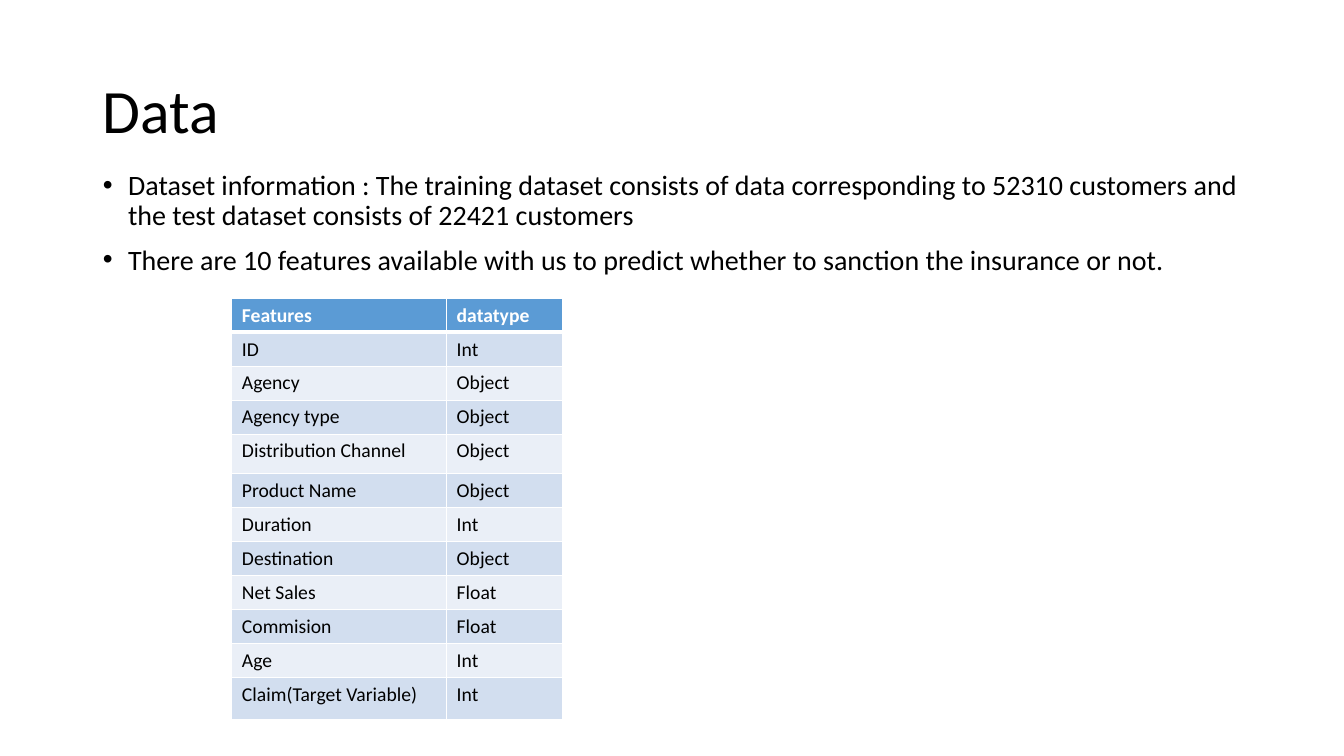
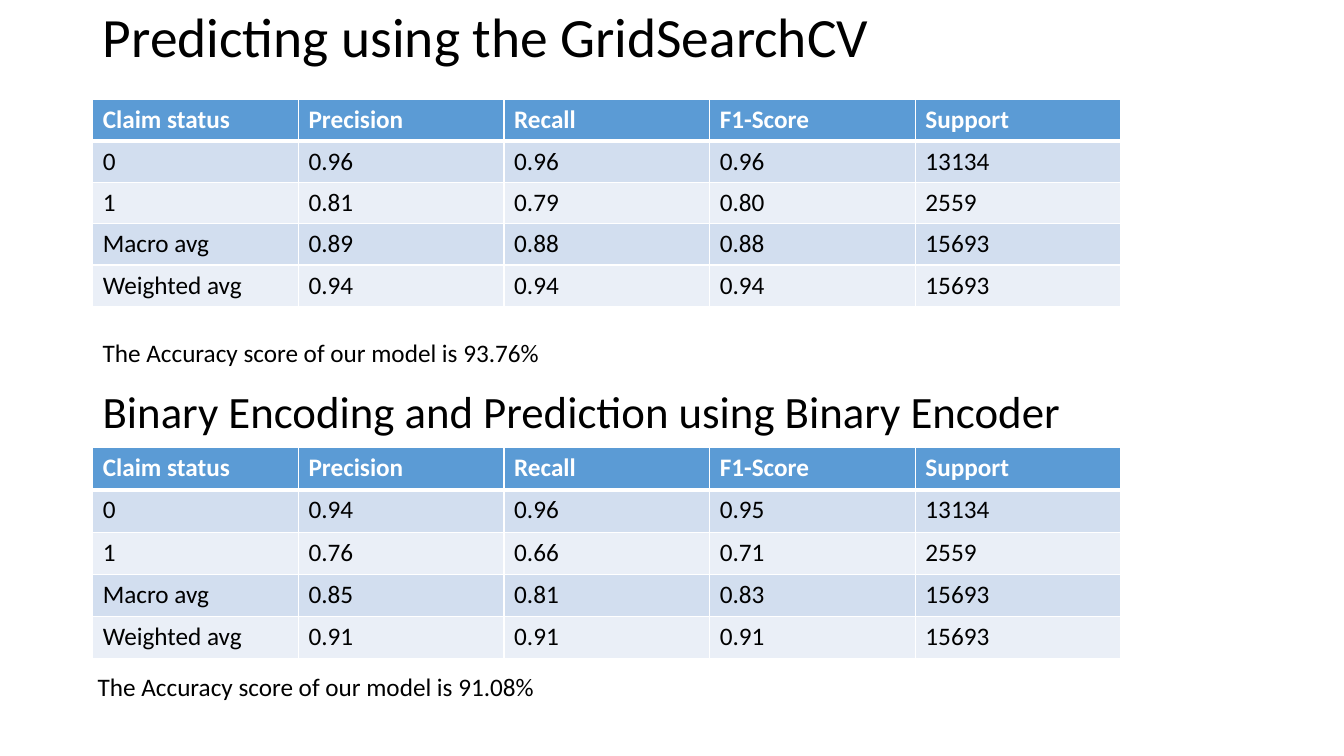
from dataclasses import dataclass

from lxml.etree import SubElement
from pptx import Presentation
from pptx.dml.color import RGBColor
from pptx.enum.text import MSO_ANCHOR, MSO_AUTO_SIZE, PP_ALIGN
from pptx.oxml.ns import qn
from pptx.util import Inches, Pt


@dataclass(frozen=True)
class Theme:
    font: str = "Calibri"
    text: RGBColor = RGBColor.from_string("000000")
    white: RGBColor = RGBColor.from_string("FFFFFF")
    header: RGBColor = RGBColor.from_string("5B9BD5")
    bands: tuple = (RGBColor.from_string("D2DEEF"), RGBColor.from_string("EAEFF7"))
    title_size: float = 44
    small_title_size: float = 39.6
    subtitle_size: float = 32
    list_size: float = 20
    table_size: float = 18
    small_table_size: float = 14
    border: float = 1
    header_border: float = 3


THEME = Theme()
LEFT = 0.92
CONTENT_WIDTH = 11.5


def style_text(text_frame, size, color=THEME.text, bold=False):
    for paragraph in text_frame.paragraphs:
        paragraph.alignment = PP_ALIGN.LEFT
        for run in paragraph.runs:
            run.font.name = THEME.font
            run.font.size = Pt(size)
            run.font.color.rgb = color
            run.font.bold = bold


def add_banded_table(slide, left, top, widths, heights, rows, size):
    """Add a table with a solid header, alternating row fills and white borders."""
    table = slide.shapes.add_table(
        len(rows), len(widths), Inches(left), Inches(top),
        Inches(sum(widths)), Inches(sum(heights))).table
    for column, width in zip(table.columns, widths):
        column.width = Inches(width)
    for row_index, (row, height, values) in enumerate(zip(table.rows, heights, rows)):
        row.height = Inches(height)
        is_header = row_index == 0
        edges = {
            "a:lnL": THEME.border,
            "a:lnR": THEME.border,
            "a:lnT": THEME.header_border if row_index == 1 else THEME.border,
            "a:lnB": THEME.header_border if is_header else THEME.border,
        }
        for cell, value in zip(row.cells, values):
            cell.text_frame.text = value
            style_text(cell.text_frame, size,
                       THEME.white if is_header else THEME.text, is_header)
            properties = cell._tc.get_or_add_tcPr()
            for tag, width in edges.items():
                line = SubElement(properties, qn(tag), w=str(Pt(width)))
                line_fill = SubElement(line, qn("a:solidFill"))
                SubElement(line_fill, qn("a:srgbClr"), val=str(THEME.white))
            cell.fill.solid()
            cell.fill.fore_color.rgb = (
                THEME.header if is_header else THEME.bands[(row_index - 1) % 2])


presentation = Presentation()
presentation.slide_width = Inches(13.33)
presentation.slide_height = Inches(7.5)
content_layout = presentation.slide_layouts.get_by_name("Title and Content")
title_layout = presentation.slide_layouts.get_by_name("Title Only")
data_slide = presentation.slides.add_slide(content_layout)
results_slide = presentation.slides.add_slide(title_layout)

titles = [
    (data_slide, "Data", 0.4, 1.45, THEME.title_size),
    (results_slide, "Predicting using the GridSearchCV", 0.08, 0.62,
     THEME.small_title_size),
]
for slide, text, top, height, size in titles:
    title = slide.shapes.title
    title.left, title.top = Inches(LEFT), Inches(top)
    title.width, title.height = Inches(CONTENT_WIDTH), Inches(height)
    title.text_frame.text = text
    title.text_frame.auto_size = MSO_AUTO_SIZE.NONE
    title.text_frame.vertical_anchor = MSO_ANCHOR.MIDDLE
    title.text_frame.paragraphs[0].line_spacing = 0.9
    style_text(title.text_frame, size)

# Data slide
body = data_slide.placeholders[1]
body.left, body.top = Inches(LEFT), Inches(1.65)
body.width, body.height = Inches(CONTENT_WIDTH), Inches(4.76)
body.text_frame.text = "\n".join([
    "Dataset information : The training dataset consists of data corresponding to "
    "52310 customers and the test dataset consists of 22421 customers",
    "There are 10 features available with us to predict whether to sanction the "
    "insurance or not.",
])
body.text_frame.auto_size = MSO_AUTO_SIZE.NONE
style_text(body.text_frame, THEME.list_size)
for paragraph in body.text_frame.paragraphs:
    paragraph.line_spacing = 0.9
    paragraph.space_before = Pt(10)
    paragraph_properties = paragraph._p.get_or_add_pPr()
    paragraph_properties.set("marL", str(Inches(0.25)))
    paragraph_properties.set("indent", str(-Inches(0.25)))

features = [
    ("Features", "datatype"),
    ("ID", "Int"),
    ("Agency", "Object"),
    ("Agency type", "Object"),
    ("Distribution Channel", "Object"),
    ("Product Name", "Object"),
    ("Duration", "Int"),
    ("Destination", "Object"),
    ("Net Sales", "Float"),
    ("Commision", "Float"),
    ("Age", "Int"),
    ("Claim(Target Variable)", "Int"),
]
tall_rows = {"Distribution Channel": 0.39, "Claim(Target Variable)": 0.42}
feature_heights = [tall_rows.get(name, 0.3) for name, _ in features]
add_banded_table(data_slide, 2.3, 2.96, [2.13, 1.15], feature_heights, features,
                 THEME.small_table_size)

# Results slide
score_header = ("Claim status", "Precision", "Recall", "F1-Score", "Support")
grid_search_scores = [
    ("0", "0.96", "0.96", "0.96", "13134"),
    ("1", "0.81", "0.79", "0.80", "2559"),
    ("Macro avg", "0.89", "0.88", "0.88", "15693"),
    ("Weighted avg", "0.94", "0.94", "0.94", "15693"),
]
binary_encoder_scores = [
    ("0", "0.94", "0.96", "0.95", "13134"),
    ("1", "0.76", "0.66", "0.71", "2559"),
    ("Macro avg", "0.85", "0.81", "0.83", "15693"),
    ("Weighted avg", "0.91", "0.91", "0.91", "15693"),
]
for top, row_height, scores in [(0.99, 0.41, grid_search_scores),
                                (4.44, 0.42, binary_encoder_scores)]:
    score_rows = [score_header, *scores]
    add_banded_table(results_slide, LEFT, top, [2.04] * len(score_header),
                     [row_height] * len(score_rows), score_rows, THEME.table_size)

captions = [
    ("The Accuracy score of our model is 93.76%", LEFT, 3.3, 9.93, 0.71,
     THEME.table_size),
    ("Binary Encoding and Prediction using Binary Encoder", LEFT, 3.76, 10.74, 0.91,
     THEME.subtitle_size),
    ("The Accuracy score of our model is 91.08%", 0.87, 6.61, 10.25, 0.71,
     THEME.table_size),
]
for text, left, top, width, height, size in captions:
    caption = results_slide.shapes.add_textbox(
        Inches(left), Inches(top), Inches(width), Inches(height))
    caption.text_frame.word_wrap = True
    caption.text_frame.text = text
    style_text(caption.text_frame, size)

presentation.save("out.pptx")
